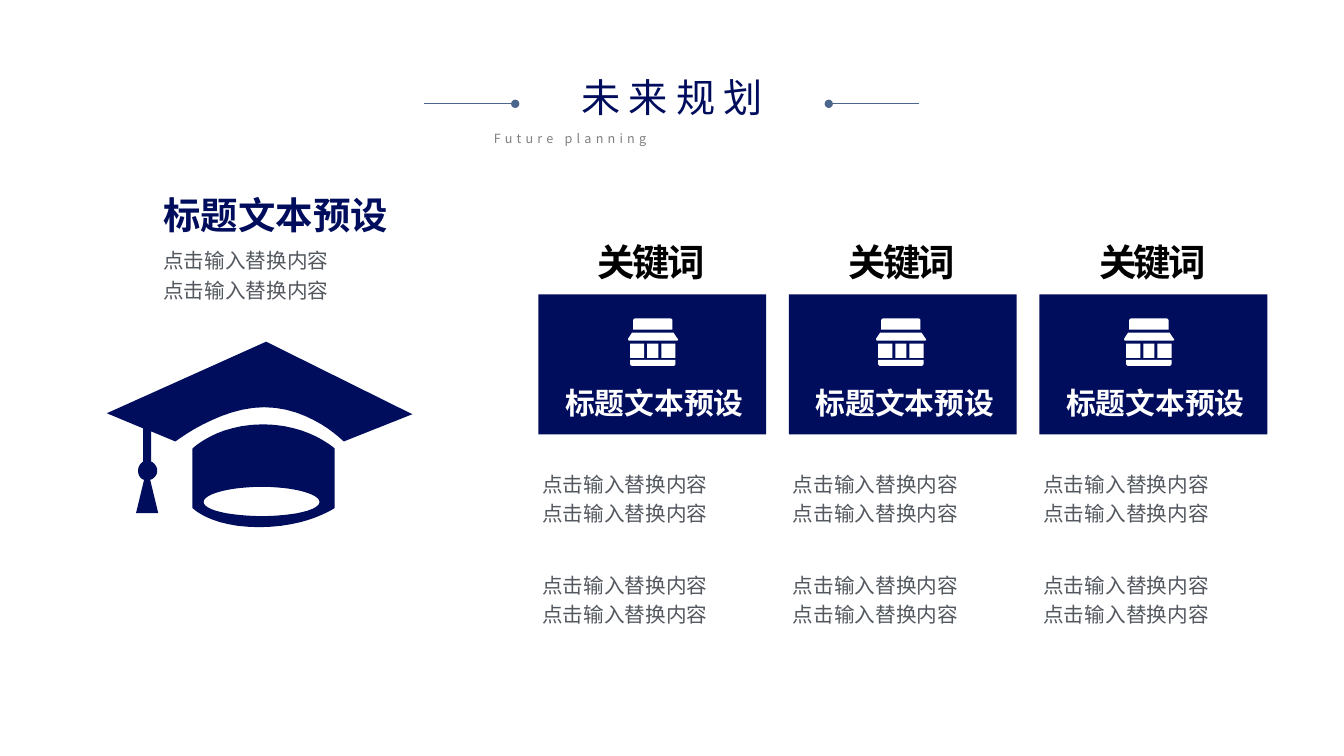
from dataclasses import dataclass
from lxml import etree
from pptx import Presentation
from pptx.dml.color import RGBColor
from pptx.enum.shapes import MSO_CONNECTOR as Conn, MSO_SHAPE as Shape
from pptx.enum.text import MSO_ANCHOR as Anchor, MSO_AUTO_SIZE as Auto, PP_ALIGN as Align
from pptx.oxml.ns import qn
from pptx.util import Inches, Pt

# Content
TITLE = "未来规划"
SUBTITLE = "Future planning"
BODY = ["点击输入替换内容"] * 2
INTRO = {"heading": "标题文本预设", "body": BODY}
CARDS = [{"keyword": "关键词", "label": "标题文本预设", "notes": [BODY, BODY]}] * 3


@dataclass(frozen=True)
class Theme:
    font: str = "Noto Sans CJK SC"
    navy: str = "000D5D"
    rule: str = "4C678E"
    gray: str = "808080"
    text: str = "53585F"
    black: str = "000000"
    white: str = "FFFFFF"
    title: float = 28
    heading: float = 26.7
    label: float = 21.3
    body: float = 14.7
    small: float = 9


T = Theme()

# Grid, in inches
SLIDE_W, SLIDE_H = 13.33, 7.5
RULE_Y, RULE_LEN = 1.03, 0.9
RULE_ENDS = [(4.21, 1), (9.12, -1)]  # outer end, direction
INTRO_X, INTRO_W = 1.62, 2.86
CARD_X, CARD_PITCH, CARD_W = 5.34, 2.485, 2.26
CARD_Y, CARD_H = 2.92, 1.39
NOTE_Y, NOTE_PITCH = 4.58, 1.0
ICON_X, ICON_Y, ICON_PITCH = 6.23, 3.16, 2.46

# Outlines: a pair is a corner, six numbers are a Bezier curve
CAP = [
    [(3.41, 4.38), (3.41, 4.38, 3.08, 4.04, 2.62, 4.04),
     (2.18, 4.04, 1.74, 4.38, 1.74, 4.38), (1.5, 4.28), (1.5, 4.58),
     (1.53, 4.59, 1.56, 4.63, 1.56, 4.67), (1.56, 4.71, 1.53, 4.75, 1.49, 4.76),
     (1.57, 5.09), (1.35, 5.09), (1.43, 4.76),
     (1.39, 4.75, 1.37, 4.71, 1.37, 4.67), (1.37, 4.63, 1.39, 4.6, 1.42, 4.58),
     (1.42, 4.25), (1.06, 4.1), (2.64, 3.39), (4.09, 4.11)],
    [(2.61, 4.21), (3.06, 4.21, 3.32, 4.45, 3.32, 4.45), (3.32, 5.04),
     (3.32, 5.04, 3.05, 5.23, 2.57, 5.23), (2.09, 5.23, 1.91, 5.04, 1.91, 5.04),
     (1.91, 4.45), (1.91, 4.45, 2.15, 4.21, 2.61, 4.21)],
    [(2.6, 5.12), (2.91, 5.12, 3.17, 5.06, 3.17, 4.98),
     (3.17, 4.9, 2.91, 4.83, 2.6, 4.83), (2.28, 4.83, 2.02, 4.9, 2.02, 4.98),
     (2.02, 5.06, 2.28, 5.12, 2.6, 5.12)],
]
PANES = [(0.02, 0.16), (0.19, 0.3), (0.33, 0.47)]
STALL = [
    [(0.02, 0.41), (0.47, 0.41), (0.47, 0.45), (0.47, 0.46, 0.46, 0.47, 0.45, 0.47),
     (0.04, 0.47), (0.03, 0.47, 0.02, 0.46, 0.02, 0.45)],
    *[[(a, 0.25), (b, 0.25), (b, 0.39), (a, 0.39)] for a, b in PANES],
    [(0.04, 0.14), (0.45, 0.14), (0.49, 0.2), (0.5, 0.2, 0.5, 0.22, 0.48, 0.22),
     (0.01, 0.22), (0, 0.22, 0, 0.2, 0, 0.2)],
    [(0.07, 0), (0.42, 0), (0.43, 0, 0.44, 0.01, 0.44, 0.02), (0.44, 0.11),
     (0.05, 0.11), (0.05, 0.02), (0.05, 0.01, 0.06, 0, 0.07, 0)],
]


def rgb(color):
    return RGBColor.from_string(color)


def paint(sp, color):
    sp.shadow.inherit = False
    sp.fill.solid()
    sp.fill.fore_color.rgb = rgb(color)
    sp.line.fill.background()


def put_text(lines, box, sp=None, size=T.body, color=T.text, bold=False, spacing=0,
             align=Align.LEFT, anchor=Anchor.TOP, inset=(0.1, 0.05), leading=None, grow=False):
    """Write lines into a placeholder, or into a new text box."""
    box = [Inches(v) for v in box]
    if sp is None:
        sp = slide.shapes.add_textbox(*box)
    sp.left, sp.top, sp.width, sp.height = box
    tf = sp.text_frame
    tf.word_wrap = True
    tf.auto_size = Auto.SHAPE_TO_FIT_TEXT if grow else Auto.NONE
    tf.vertical_anchor = anchor
    tf.margin_left = tf.margin_right = Inches(inset[0])
    tf.margin_top = tf.margin_bottom = Inches(inset[1])
    for i, line in enumerate(lines):
        p = tf.add_paragraph() if i else tf.paragraphs[0]
        p.alignment = align
        p.line_spacing = leading
        r = p.add_run()
        r.text = line
        r.font.size, r.font.bold, r.font.name = Pt(size), bold, T.font
        r.font.color.rgb = rgb(color)
        rpr = r._r.get_or_add_rPr()
        rpr.set("spc", str(spacing * 100))
        etree.SubElement(rpr, qn("a:ea"), typeface=T.font)


def trace(contour, dx, dy, steps=12):
    """Turn corners and curves into thousandths of an inch."""
    pts = [contour[0]]
    for seg in contour[1:]:
        if len(seg) == 2:
            pts.append(seg)
            continue
        ctrl = [pts[-1], seg[:2], seg[2:4], seg[4:]]
        for k in range(1, steps + 1):
            t = k / steps
            weights = ((1 - t) ** 3, 3 * t * (1 - t) ** 2, 3 * t * t * (1 - t), t ** 3)
            pts.append(tuple(sum(w * c[axis] for w, c in zip(weights, ctrl)) for axis in (0, 1)))
    return [((x + dx) * 1000, (y + dy) * 1000) for x, y in pts]


def draw_outline(contours, color, dx=0, dy=0):
    paths = [trace(c, dx, dy) for c in contours]
    fb = slide.shapes.build_freeform(*paths[0][0], scale=Inches(1) / 1000)
    for i, pts in enumerate(paths):
        if i:
            fb.move_to(*pts[0])
        fb.add_line_segments(pts[1:], close=True)
    paint(fb.convert_to_shape(), color)


def draw_rule(x, direction):
    y = Inches(RULE_Y)
    ln = slide.shapes.add_connector(Conn.STRAIGHT, Inches(x), y,
                                    Inches(x + direction * RULE_LEN), y)
    ln.line.color.rgb = rgb(T.rule)
    ln.line.width = Pt(0.5)
    etree.SubElement(ln.line._get_or_add_ln(), qn("a:tailEnd"), type="oval")
    etree.SubElement(ln._element.spPr, qn("a:effectLst"))


def draw_card(i, card):
    x = CARD_X + i * CARD_PITCH
    sp = slide.shapes.add_shape(Shape.RECTANGLE, *[Inches(v) for v in (x, CARD_Y, CARD_W, CARD_H)])
    paint(sp, T.navy)
    put_text([card["keyword"]], (x, 2.37, 2.24, 0.45), size=T.heading, color=T.black, bold=True,
             spacing=-2, align=Align.CENTER, anchor=Anchor.MIDDLE, inset=(0.13, 0.07))
    put_text([card["label"]], (x + 0.06, 3.79, 2.18, 0.4), size=T.label, color=T.white, bold=True,
             align=Align.CENTER, anchor=Anchor.MIDDLE)
    for row, note in enumerate(card["notes"]):
        put_text(note, (x - 0.06, NOTE_Y + row * NOTE_PITCH, 2.36, 0.69), leading=1.2,
                 anchor=Anchor.MIDDLE, grow=True)
    draw_outline(STALL, T.white, ICON_X + i * ICON_PITCH, ICON_Y)


prs = Presentation()
prs.slide_width, prs.slide_height = Inches(SLIDE_W), Inches(SLIDE_H)
slide = prs.slides.add_slide(prs.slide_layouts[5])

# Title and rules
put_text([TITLE], (5.16, 0.68, 3.01, 0.57), sp=slide.shapes.title, size=T.title, color=T.navy,
         spacing=6, align=Align.CENTER, grow=True)
put_text([SUBTITLE], (4.8, 1.25, 3.74, 0.25), size=T.small, color=T.gray, spacing=3,
         align=Align.JUSTIFY, grow=True)
for x, direction in RULE_ENDS:
    draw_rule(x, direction)

# Introduction and graduation cap
put_text(INTRO["body"], (INTRO_X, 2.41, INTRO_W, 0.87), leading=1.2, inset=(0, 0))
put_text([INTRO["heading"]], (INTRO_X, 1.91, INTRO_W, 0.34), size=T.heading, color=T.navy,
         bold=True, inset=(0, 0))
draw_outline(CAP, T.navy)

# Cards
for i, card in enumerate(CARDS):
    draw_card(i, card)

prs.save("out.pptx")
